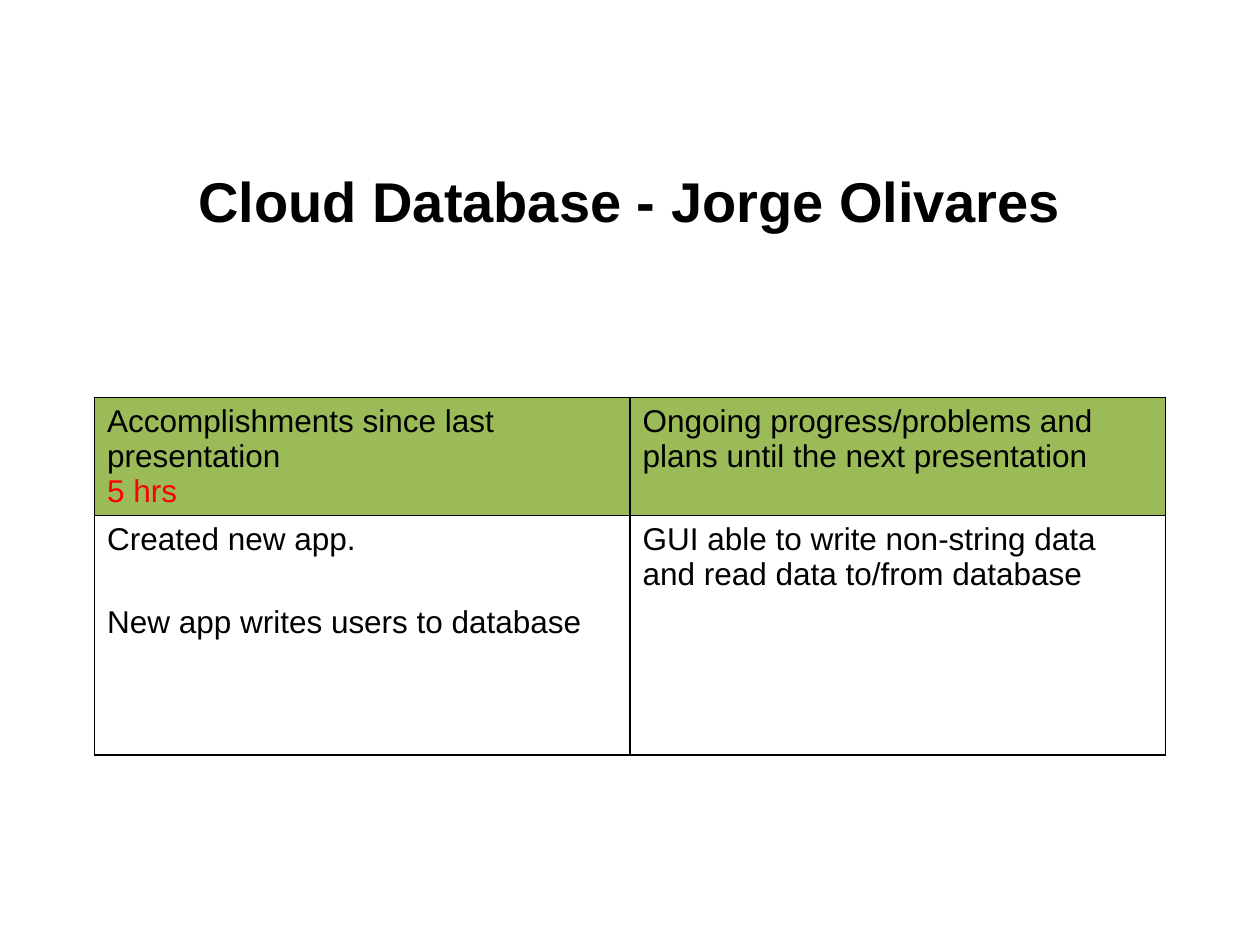
from dataclasses import dataclass

import lxml.etree
import pptx
import pptx.dml.color
import pptx.enum.text
import pptx.oxml.ns
import pptx.util

Pt = pptx.util.Pt
RGB = pptx.dml.color.RGBColor


@dataclass(frozen=True)
class Theme:
    font: str = "Arial"
    title_size: int = 32
    body_size: int = 18
    text: str = "000000"
    accent: str = "FF0000"
    header: str = "9BBB59"
    border: str = "000000"
    border_width: int = 1
    item_gap: float = 27.3


THEME = Theme()

# Each cell is a list of (text, colour) paragraphs
HEADERS = [
    [("Accomplishments since last presentation", THEME.text), ("5 hrs", THEME.accent)],
    [("Ongoing progress/problems and plans until the next presentation", THEME.text)],
]
ENTRIES = [
    [("Created new app.", THEME.text), ("New app writes users to database", THEME.text)],
    [("GUI able to write non-string data and read data to/from database", THEME.text)],
]


def style_font(font, size, colour, bold=False):
    font.name = THEME.font
    font.size = Pt(size)
    font.bold = bold
    font.color.rgb = RGB.from_string(colour)


def add_title(page, text):
    title = page.shapes.title
    title.left, title.top, title.width, title.height = Pt(36), Pt(82.8), Pt(648), Pt(63.4)
    frame = title.text_frame
    frame.vertical_anchor = pptx.enum.text.MSO_ANCHOR.MIDDLE
    para = frame.paragraphs[0]
    para.text = text
    para.alignment = pptx.enum.text.PP_ALIGN.CENTER
    style_font(para.font, THEME.title_size, THEME.text, bold=True)


def add_borders(cell):
    """Line all four sides; the lines must precede the fill in the cell's XML."""
    qn = pptx.oxml.ns.qn
    properties = cell._tc.get_or_add_tcPr()
    for position, side in enumerate(("a:lnL", "a:lnR", "a:lnT", "a:lnB")):
        line = lxml.etree.Element(qn(side), w=str(Pt(THEME.border_width)))
        fill = lxml.etree.SubElement(line, qn("a:solidFill"))
        lxml.etree.SubElement(fill, qn("a:srgbClr"), val=THEME.border)
        properties.insert(position, line)


def fill_cell(cell, paragraphs, colour=None, gap=0):
    if colour:
        cell.fill.solid()
        cell.fill.fore_color.rgb = RGB.from_string(colour)
    else:
        cell.fill.background()
    add_borders(cell)
    frame = cell.text_frame
    for index, (text, text_colour) in enumerate(paragraphs):
        para = frame.add_paragraph() if index else frame.paragraphs[0]
        para.text = text
        para.space_before = Pt(gap if index else 0)
        style_font(para.font, THEME.body_size, text_colour)


def add_status_table(page):
    header_height, entry_height, column_width = 67.6, 136.8, 306
    table = page.shapes.add_table(
        2, 2, Pt(54), Pt(227), Pt(2 * column_width), Pt(header_height + entry_height)
    ).table
    table.horz_banding = False
    table.rows[0].height = Pt(header_height)
    table.rows[1].height = Pt(entry_height)
    for column, (header, entry) in enumerate(zip(HEADERS, ENTRIES)):
        table.columns[column].width = Pt(column_width)
        fill_cell(table.cell(0, column), header, THEME.header)
        fill_cell(table.cell(1, column), entry, gap=THEME.item_gap)


def main():
    deck = pptx.Presentation()
    deck.slide_width, deck.slide_height = Pt(720), Pt(540)
    page = deck.slides.add_slide(deck.slide_layouts[5])  # Title Only

    # Heading
    add_title(page, "Cloud Database - Jorge Olivares")

    # Progress and plans
    add_status_table(page)

    deck.save("out.pptx")


if __name__ == "__main__":
    main()
